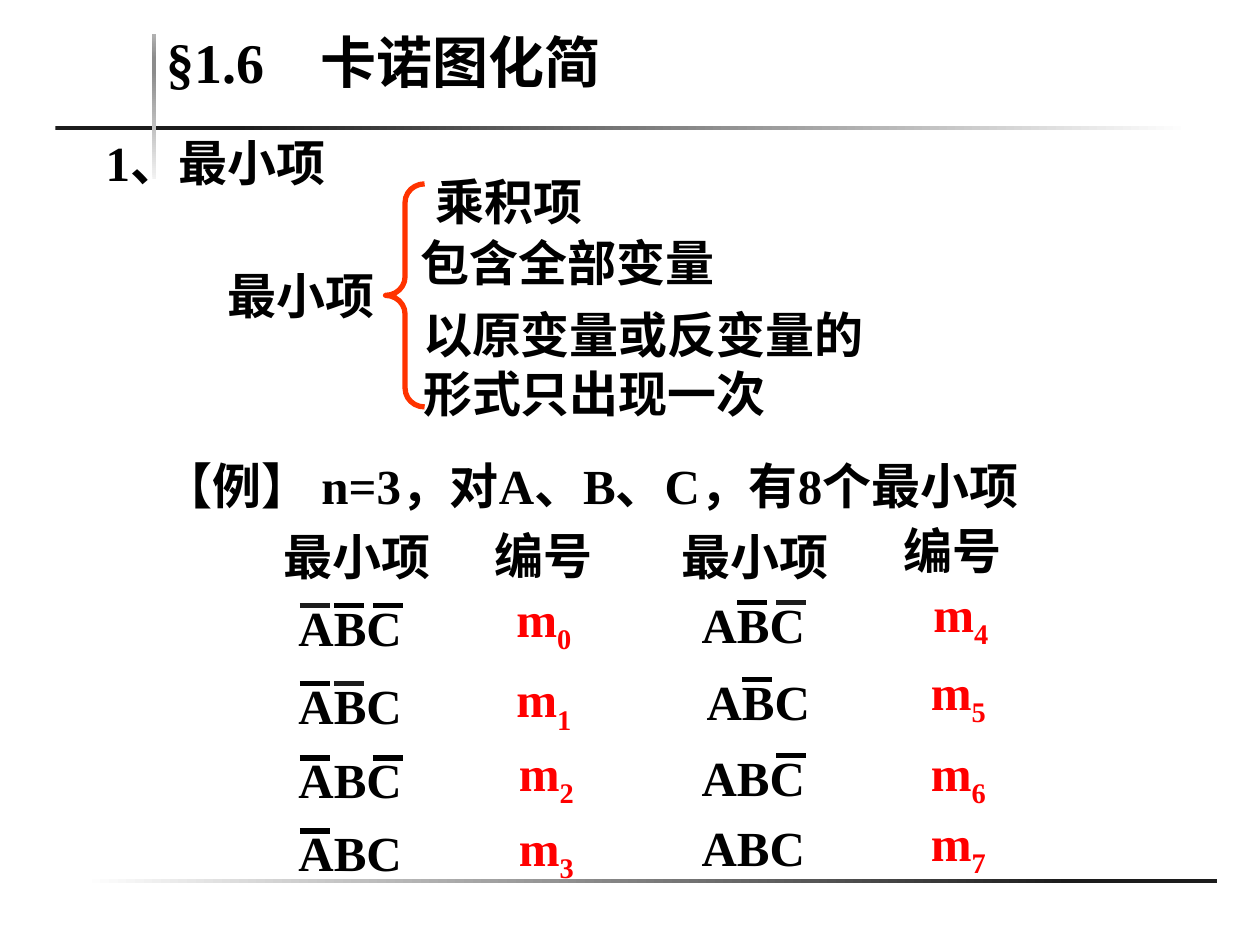
from dataclasses import dataclass
from lxml import etree
from pptx import Presentation
from pptx.dml.color import RGBColor as RGB
from pptx.enum.shapes import MSO_CONNECTOR as Conn, MSO_SHAPE as Shape
from pptx.enum.text import MSO_ANCHOR as Anchor, MSO_AUTO_SIZE as AutoSize
from pptx.oxml import parse_xml
from pptx.oxml.ns import nsdecls, qn
from pptx.util import Inches, Pt


@dataclass(frozen=True)
class Theme:
    font: str = "Times New Roman"
    ink: str = "000000"
    soft: str = "1C1C1C"
    number: str = "FF0000"
    brace: str = "FF3300"
    title_size: int = 32
    body_size: int = 28
    subscript: int = -25000
    line: int = 3


T = Theme()

# Content: places are in cells of a grid of 100 columns by 75 rows
COLS, ROWS = 100, 75
LINE_H = 5.7

RULES = [  # box, gradient stops, angle
    ((6.6, 69.8, 90, 0.3), [(0, "FFFFFF"), (87, T.soft)], 0),
    ((4.4, 10, 90, 0.3), [(16, T.soft), (100, "FFFFFF")], 0),
    ((12.1, 2.7, 0.3, 11.5),
     [(0, "F2F2F2"), (74, "8C8C8C"), (83, "8C8C8C"), (100, "B2B2B2")], 270),
]
TITLE = ("§1.6　卡诺图化简", (12.2, 2.2, 77.7, 5.8))
TEXTS = [  # text, left, top, width, lines
    ("1、最小项", 7.4, 10, 37.6, 1),
    ("最小项", 17.1, 20.6, 15.5, 1),
    ("【例】 n=3，对A、B、C，有8个最小项", 12, 35.7, 72.5, 1),
    ("乘积项", 33.6, 13.1, 16, 1),
    ("包含全部变量", 32.4, 18, 27.4, 1),
    ("以原变量或反变量的形式只出现一次", 32.6, 23.7, 37.1, 1.8),
    ("最小项", 21.5, 41.3, 15.5, 1),
    ("编号", 38.3, 41.2, 11.6, 1),
    ("最小项", 53.1, 41.3, 15.5, 1),
    ("编号", 70.7, 40.8, 11.6, 1),
]
BRACE = (30.6, 14.6, 3.1, 17.7)
MINTERMS = [  # term left, term top, barred letters, soft bars, number left, number top
    (22.7, 46.9, "ABC", "A", 40, 46.2),
    (22.7, 53.1, "AB", "B", 40, 52.6),
    (22.7, 59, "AC", "", 40.2, 58.4),
    (22.7, 64.8, "A", "", 40.2, 64.4),
    (54.7, 46.7, "BC", "C", 73.1, 45.8),
    (55.1, 52.8, "B", "", 72.9, 52),
    (54.7, 58.8, "C", "", 72.9, 58.4),
    (54.7, 64.4, "", "", 72.9, 64),
]
TERM_W, NUMBER_W = 12.9, 8.4
BAR_LEFT = {"A": 1.1, "B": 3.8, "C": 6.9}
BAR_DROP, BAR_W = 1.15, 2.4

prs = Presentation()
prs.slide_width, prs.slide_height = Inches(10), Inches(7.5)
CELL_W, CELL_H = prs.slide_width / COLS, prs.slide_height / ROWS
s = prs.slides.add_slide(prs.slide_layouts[6])


def place(x, y, w, h):
    return [round(v) for v in (x * CELL_W, y * CELL_H, w * CELL_W, h * CELL_H)]


def add_text(runs, box, size=T.body_size, color=T.ink, anchor=Anchor.TOP,
             fit=AutoSize.SHAPE_TO_FIT_TEXT):
    """Runs are pairs of text and baseline shift."""
    tf = s.shapes.add_textbox(*place(*box)).text_frame
    tf.word_wrap, tf.auto_size, tf.vertical_anchor = True, fit, anchor
    p = tf.paragraphs[0]
    for text, shift in runs:
        r = p.add_run()
        r.text = text
        r.font.name, r.font.size, r.font.bold = T.font, Pt(size), True
        r.font.color.rgb = RGB.from_string(color)
        if shift:
            r.font._element.set("baseline", str(shift))


def add_rule(box, stops, angle):
    sp = s.shapes.add_shape(Shape.RECTANGLE, *place(*box))
    sp.shadow.inherit = False
    sp.line.fill.background()
    marks = "".join(f'<a:gs pos="{pos * 1000}"><a:srgbClr val="{c}"/></a:gs>'
                    for pos, c in stops)
    fill = parse_xml(f'<a:gradFill {nsdecls("a")} rotWithShape="1">'
                     f'<a:gsLst>{marks}</a:gsLst>'
                     f'<a:lin ang="{angle * 60000}" scaled="1"/></a:gradFill>')
    sp._element.spPr.find(qn("a:prstGeom")).addnext(fill)


def add_bar(x, y, color):
    x1, y1, w, _ = place(x, y, BAR_W, 0)
    bar = s.shapes.add_connector(Conn.STRAIGHT, x1, y1, x1 + w, y1)
    bar.line.color.rgb, bar.line.width = RGB.from_string(color), Pt(T.line)
    etree.SubElement(bar._element.spPr, qn("a:effectLst"))


# Fading rules and title
for rule in RULES:
    add_rule(*rule)
add_text([(TITLE[0], 0)], TITLE[1], T.title_size, anchor=Anchor.BOTTOM,
         fit=AutoSize.NONE)

# Definition, example and column heads
for text, x, y, w, lines in TEXTS:
    add_text([(text, 0)], (x, y, w, lines * LINE_H))

brace = s.shapes.add_shape(Shape.LEFT_BRACE, *place(*BRACE))
brace.shadow.inherit = False
brace.fill.background()
brace.line.color.rgb, brace.line.width = RGB.from_string(T.brace), Pt(T.line)
brace.adjustments[0], brace.adjustments[1] = 0.476, 0.5

# Minterms with their bars and numbers
for i, (x, y, barred, soft, num_x, num_y) in enumerate(MINTERMS):
    add_text([("ABC", 0)], (x, y, TERM_W, LINE_H))
    for letter in barred:
        add_bar(x + BAR_LEFT[letter], y + BAR_DROP,
                T.soft if letter in soft else T.ink)
    add_text([("m", 0), (str(i), T.subscript)],
             (num_x, num_y, NUMBER_W, LINE_H), color=T.number)

prs.save("out.pptx")
